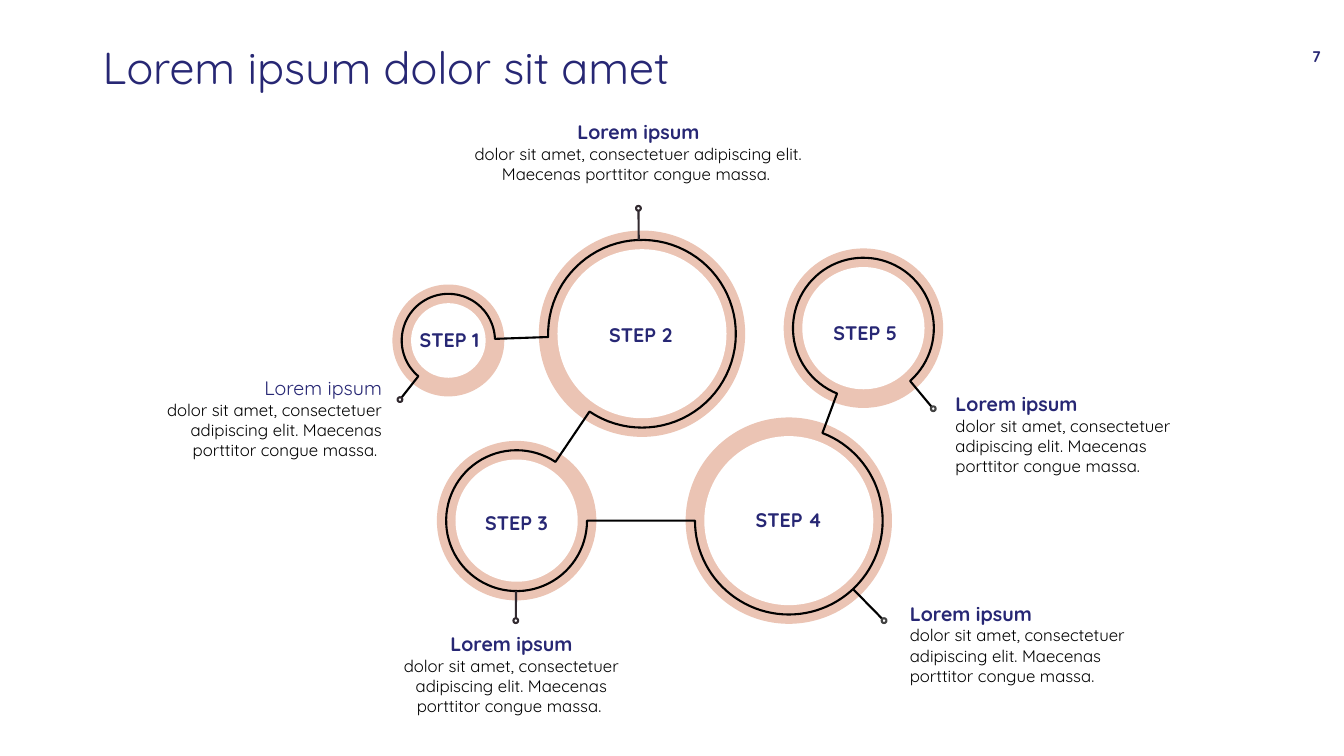
from dataclasses import dataclass
from math import cos, hypot, radians, sin

from lxml import etree
from pptx import Presentation
from pptx.dml.color import RGBColor
from pptx.enum.shapes import MSO_CONNECTOR, MSO_SHAPE
from pptx.enum.text import MSO_ANCHOR, PP_ALIGN
from pptx.oxml.ns import qn
from pptx.util import Cm, Pt

LEFT, CENTER, RIGHT = PP_ALIGN.LEFT, PP_ALIGN.CENTER, PP_ALIGN.RIGHT
TOP, MIDDLE = MSO_ANCHOR.TOP, MSO_ANCHOR.MIDDLE
OVAL = MSO_SHAPE.OVAL
STRAIGHT = MSO_CONNECTOR.STRAIGHT


@dataclass(frozen=True)
class Theme:
    font: str = "Quicksand"
    navy: RGBColor = RGBColor(0x27, 0x27, 0x74)
    peach: RGBColor = RGBColor(0xEB, 0xC4, 0xB4)
    white: RGBColor = RGBColor(0xFF, 0xFF, 0xFF)
    black: RGBColor = RGBColor(0, 0, 0)
    dark: RGBColor = RGBColor(0x32, 0x2A, 0x30)
    grey: RGBColor = RGBColor(0x43, 0x43, 0x43)
    title: int = 32
    heading: int = 14
    body: int = 12
    page: int = 11
    stroke: float = 1.5


THEME = Theme()
BAND = 0.47
DOT = 0.12
INSET = 0.25
LABEL_WIDTH, LABEL_HEIGHT = 3.45, 1.17
ARC_POINTS = 72
CAPTION_HEADING = "Lorem ipsum"
CAPTION_BODY = (
    "dolor sit amet, consectetuer adipiscing elit. "
    "Maecenas porttitor congue massa. "
)


@dataclass(frozen=True)
class Box:
    left: float
    top: float
    width: float
    height: float

    def inside(self, left, top, width, height):
        return Box(self.left + left, self.top + top, width, height)

    def lengths(self):
        return Cm(self.left), Cm(self.top), Cm(self.width), Cm(self.height)


@dataclass(frozen=True)
class Step:
    label: str
    center: tuple
    radius: float
    arc: tuple
    exit_angle: float
    dot: tuple
    dot_color: RGBColor
    label_shift: tuple
    caption: tuple
    align: PP_ALIGN
    bold: bool = True

    def on_thread(self, angle):
        reach = self.radius - BAND / 2
        turn = radians(angle)
        return self.center[0] + reach * cos(turn), self.center[1] + reach * sin(turn)

    def arc_points(self):
        start, end = self.arc
        return [self.on_thread(start + (end - start) * i / ARC_POINTS)
                for i in range(ARC_POINTS + 1)]

    def stem(self):
        root = self.on_thread(self.exit_angle)
        dx, dy = self.dot[0] - root[0], self.dot[1] - root[1]
        share = 1 - DOT / 2 / hypot(dx, dy)
        return root, (root[0] + dx * share, root[1] + dy * share)


STEPS = [
    Step("STEP 1", (7.8, 5.88), 1.41, (130, 358), 130, (6.58, 7.37), THEME.dark,
         (0.03, -0.02), (0.08, 6.52, 6.3, 2.74), RIGHT, False),
    Step("STEP 2", (12.68, 5.71), 2.6, (178, 484), -92, (12.59, 2.55), THEME.dark,
         (-0.03, 0.02), (7.98, 0.07, 9.22, 2.08), CENTER),
    Step("STEP 3", (9.52, 10.42), 2.01, (303.5, 0), 90.5, (9.5, 12.94), THEME.dark,
         (0, 0.06), (6.2, 12.97, 6.38, 2.9), CENTER),
    Step("STEP 4", (16.38, 10.42), 2.6, (180, -69), 46.8, (18.78, 12.94), THEME.grey,
         (0, -0.02), (19.18, 12.21, 6.17, 3.35), LEFT),
    Step("STEP 5", (18.26, 5.57), 2.01, (112, 408.5), 408.5, (20.02, 7.6), THEME.grey,
         (0.05, 0.11), (20.33, 6.93, 6.3, 2.74), LEFT),
]


def add_text(slide, box, lines, align=LEFT, anchor=TOP, inset=(INSET, INSET / 2), spacing=None):
    frame = slide.shapes.add_textbox(*box.lengths()).text_frame
    frame.word_wrap = True
    frame.vertical_anchor = anchor
    frame.margin_left = frame.margin_right = Cm(inset[0])
    frame.margin_top = frame.margin_bottom = Cm(inset[1])
    for index, (words, size, color, bold) in enumerate(lines):
        paragraph = frame.add_paragraph() if index else frame.paragraphs[0]
        paragraph.text = words
        paragraph.alignment = align
        if spacing:
            paragraph.line_spacing = spacing
        font = paragraph.font
        font.name = THEME.font
        font.size = Pt(size)
        font.bold = bold
        font.color.rgb = color


def add_circle(slide, box, center, radius):
    bounds = box.inside(center[0] - radius, center[1] - radius, 2 * radius, 2 * radius)
    circle = slide.shapes.add_shape(OVAL, *bounds.lengths())
    circle.shadow.inherit = False
    return circle


def add_ring(slide, box, step):
    for radius, color in ((step.radius, THEME.peach), (step.radius - BAND, THEME.white)):
        disc = add_circle(slide, box, step.center, radius)
        disc.fill.solid()
        disc.fill.fore_color.rgb = color
        disc.line.fill.background()


def set_stroke(shape, color):
    shape.line.color.rgb = color
    shape.line.width = Pt(THEME.stroke)


def add_thread(slide, box):
    points = [STEPS[0].stem()[1]]
    for step in STEPS:
        points += step.arc_points()
    points.append(STEPS[-1].stem()[1])
    placed = [(Cm(box.left + x), Cm(box.top + y)) for x, y in points]
    builder = slide.shapes.build_freeform(*placed[0])
    builder.add_line_segments(placed[1:], close=False)
    thread = builder.convert_to_shape()
    thread.shadow.inherit = False
    thread.fill.background()
    set_stroke(thread, THEME.black)


def add_stem(slide, box, step):
    ends = [Cm(value) for x, y in step.stem() for value in (box.left + x, box.top + y)]
    stem = slide.shapes.add_connector(STRAIGHT, *ends)
    etree.SubElement(stem._element.spPr, qn("a:effectLst"))
    set_stroke(stem, THEME.black if step.dot_color == THEME.grey else THEME.dark)


def add_dot(slide, box, step):
    dot = add_circle(slide, box, step.dot, DOT / 2)
    dot.fill.background()
    set_stroke(dot, step.dot_color)


def add_step_text(slide, box, step):
    label = box.inside(step.center[0] + step.label_shift[0] - LABEL_WIDTH / 2,
                       step.center[1] + step.label_shift[1] - LABEL_HEIGHT / 2,
                       LABEL_WIDTH, LABEL_HEIGHT)
    add_text(slide, label, [(step.label, THEME.heading, THEME.navy, True)],
             CENTER, MIDDLE, (0, 0))
    add_text(slide, box.inside(*step.caption),
             [(CAPTION_HEADING, THEME.heading, THEME.navy, step.bold),
              (CAPTION_BODY, THEME.body, THEME.black, False)],
             step.align, inset=(INSET, INSET))


def add_header(slide, box):
    add_text(slide, box.inside(2.34, 1.02, 19.3, 1.5),
             [("Lorem ipsum dolor sit amet", THEME.title, THEME.navy, False)], spacing=0.9)
    add_text(slide, box.inside(box.width - 1.38, 1.07, 1.38, 0.69),
             [("7", THEME.page, THEME.navy, True)], CENTER, MIDDLE)


def add_process(slide, box):
    for step in STEPS:
        add_ring(slide, box, step)
    add_thread(slide, box)
    for step in STEPS[1:-1]:
        add_stem(slide, box, step)
    for step in STEPS:
        add_dot(slide, box, step)
        add_step_text(slide, box, step)


def main():
    deck = Presentation()
    deck.slide_width, deck.slide_height = Cm(33.87), Cm(19.05)
    slide = deck.slides.add_slide(deck.slide_layouts[6])
    add_header(slide, Box(0, 0, 33.87, 2.7))
    add_process(slide, Box(3.5, 2.7, 27, 16))
    deck.save("out.pptx")


if __name__ == "__main__":
    main()
